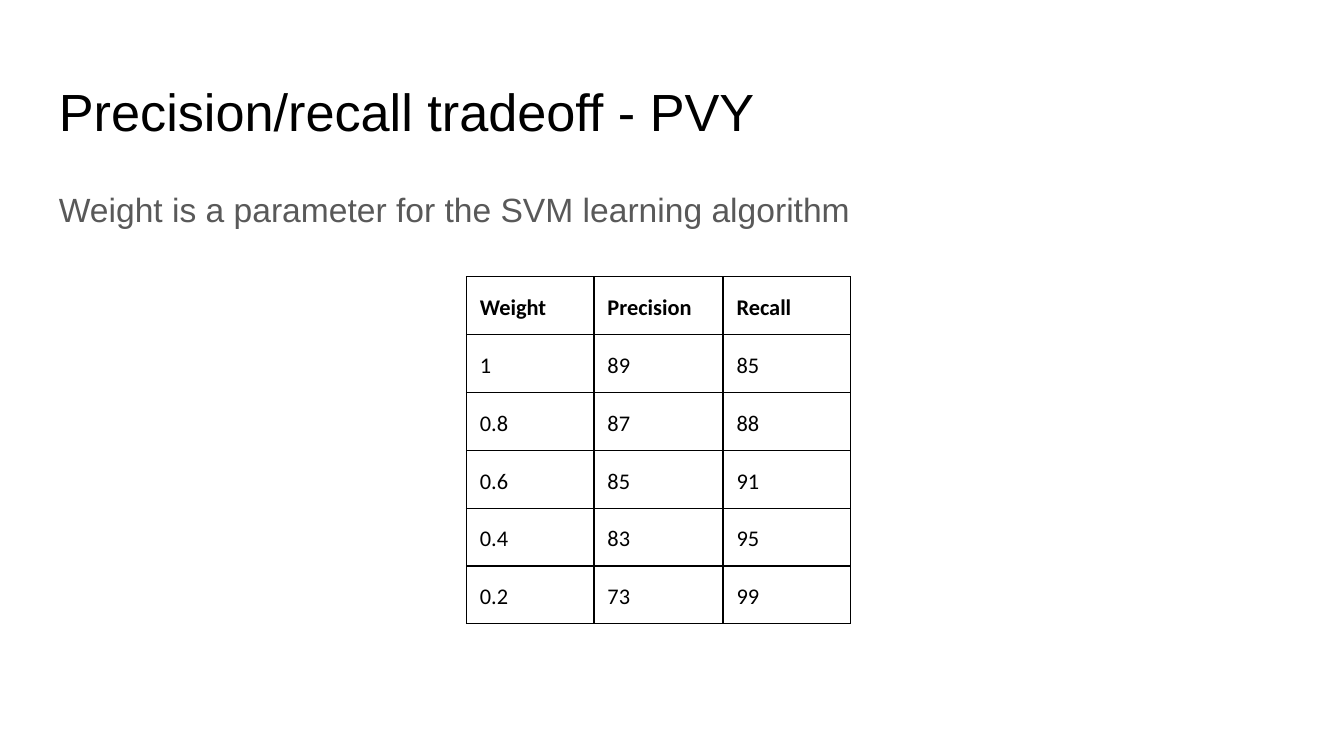
from lxml import etree
from pptx import Presentation
from pptx import util as u
from pptx.dml.color import RGBColor
from pptx.enum import text
from pptx.oxml.ns import qn

COLORS = {"paper": "FFFFFF", "ink": "000000", "body": "595959"}
PADDING = u.Inches(0.1)
RESULTS = [
    ("Weight", "Precision", "Recall"),
    ("1", "89", "85"),
    ("0.8", "87", "88"),
    ("0.6", "85", "91"),
    ("0.4", "83", "95"),
    ("0.2", "73", "99"),
]
COLUMN_WIDTHS = (0.95, 0.96, 0.95)
ROW_HEIGHT = 0.31  # minimum; rows grow to fit their text


def color(name):
    return RGBColor.from_string(COLORS[name])


def write(frame, wording, size, font, ink, bold=False, spacing=None):
    """Fill a text frame with one formatted paragraph."""
    frame.text = wording
    paragraph = frame.paragraphs[0]
    if spacing:
        paragraph.line_spacing = spacing
    style = paragraph.runs[0].font
    style.size, style.name, style.bold = u.Pt(size), font, bold
    style.color.rgb = color(ink)
    return paragraph


def pad(box):
    """Set equal margins on a text frame or a table cell."""
    box.margin_left = box.margin_right = PADDING
    box.margin_top = box.margin_bottom = PADDING


def add_text(slide, wording, top, height, size, ink, spacing=None):
    frame = slide.shapes.add_textbox(
        u.Inches(0.34), u.Inches(top), u.Inches(9.32), u.Inches(height)
    ).text_frame
    frame.word_wrap = True
    frame.vertical_anchor = text.MSO_ANCHOR.TOP
    pad(frame)
    return write(frame, wording, size, "Arial", ink, spacing=spacing)


def add_borders(cell):
    """Draw a thin line on each side; borders must precede the cell fill."""
    properties = cell._tc.get_or_add_tcPr()
    for index, side in enumerate(("lnL", "lnR", "lnT", "lnB")):
        line = etree.Element(qn(f"a:{side}"), w=str(u.Pt(0.75)))
        fill = etree.SubElement(line, qn("a:solidFill"))
        etree.SubElement(fill, qn("a:srgbClr"), val=COLORS["ink"])
        properties.insert(index, line)


def add_results_table(slide, left, top):
    table = slide.shapes.add_table(
        len(RESULTS), len(COLUMN_WIDTHS), u.Inches(left), u.Inches(top),
        u.Inches(sum(COLUMN_WIDTHS)), u.Inches(ROW_HEIGHT * len(RESULTS)),
    ).table
    table.horz_banding = False
    for column, width in zip(table.columns, COLUMN_WIDTHS):
        column.width = u.Inches(width)
    for row_index, values in enumerate(RESULTS):
        table.rows[row_index].height = u.Inches(ROW_HEIGHT)
        for column_index, value in enumerate(values):
            cell = table.cell(row_index, column_index)
            pad(cell)
            cell.fill.background()
            add_borders(cell)
            write(cell.text_frame, value, 12, "Calibri", "ink",
                  bold=row_index == 0, spacing=1.15)


def main():
    # Widescreen page, 16:9
    deck = Presentation()
    deck.slide_width = u.Inches(10)
    deck.slide_height = u.Inches(10 * 9 / 16)
    slide = deck.slides.add_slide(deck.slide_layouts[6])
    slide.background.fill.solid()
    slide.background.fill.fore_color.rgb = color("paper")

    # Heading and explanation
    add_text(slide, "Precision/recall tradeoff - PVY", 0.49, 0.63, 28, "ink")
    explanation = add_text(
        slide, "Weight is a parameter for the SVM learning algorithm",
        1.26, 3.74, 18, "body", spacing=1.15)
    explanation.space_after = u.Pt(16)

    # Precision and recall for each weight
    add_results_table(slide, 3.47, 2.06)

    deck.save("out.pptx")


if __name__ == "__main__":
    main()
